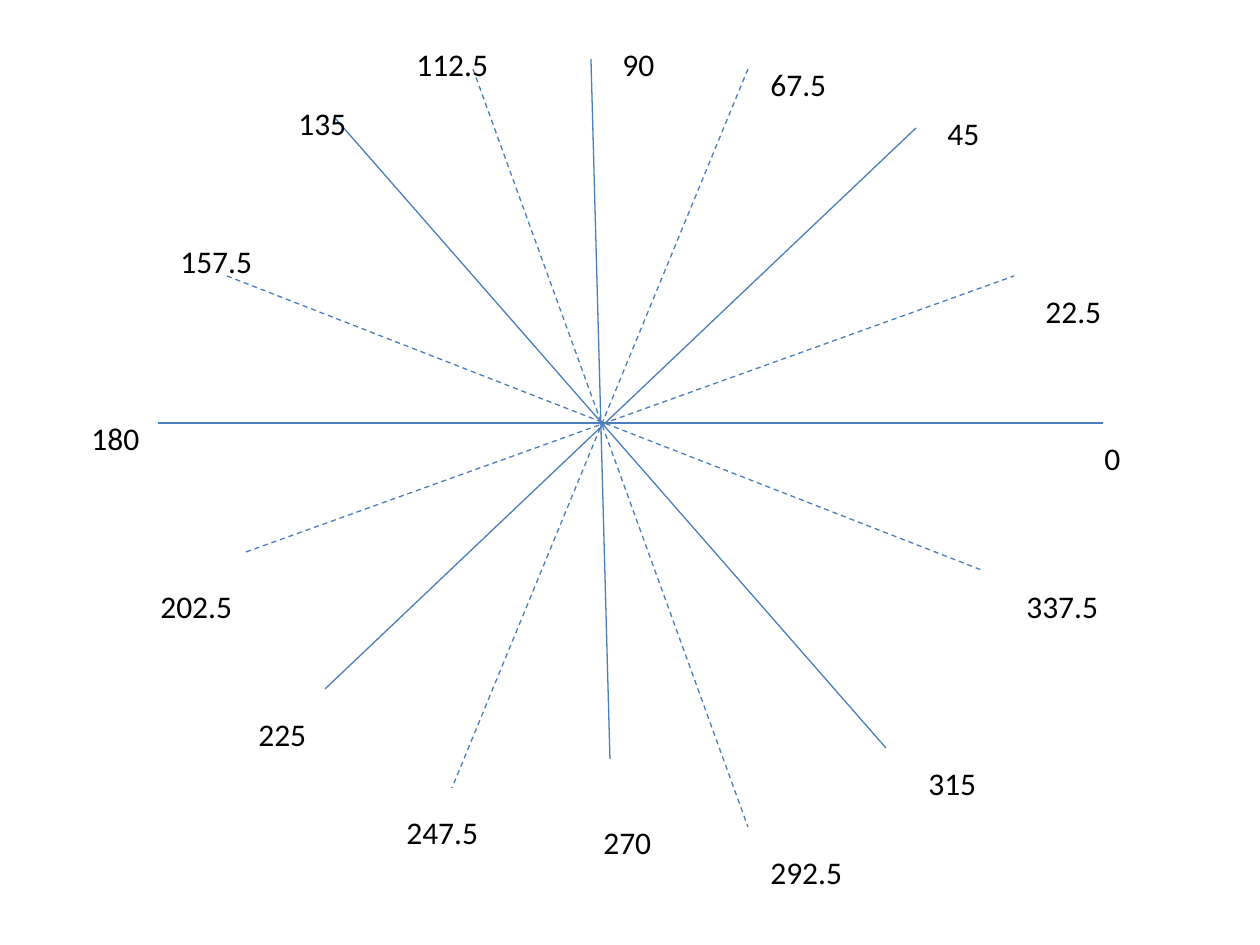
from lxml.etree import SubElement
from pptx import Presentation
from pptx.dml.color import RGBColor
from pptx.enum.dml import MSO_LINE
from pptx.enum.shapes import MSO_CONNECTOR
from pptx.enum.text import MSO_AUTO_SIZE
from pptx.oxml.ns import qn
from pptx.util import Pt

SCALE = 914400 // 126
SLIDE_SIZE = (1260, 945)
LINE_COLOR = "4B7EBC"
TEXT_COLOR = "000000"
LABEL_HEIGHT = 50
LABEL_WIDTHS = {1: 42, 2: 58, 3: 74, 4: 82, 5: 98}

SOLID_AXES = [
    (158, 423, 1103, 423),
    (610, 759, 591, 59),
    (325, 689, 916, 128),
    (335, 118, 886, 748),
]
DASHED_AXES = [
    (748, 69, 452, 788),
    (473, 69, 748, 827),
    (227, 276, 984, 571),
    (246, 552, 1014, 276),
]
ANGLE_LABELS = [
    ("90", 610, 39),
    ("0", 1092, 433),
    ("270", 591, 817),
    ("180", 79, 413),
    ("45", 935, 108),
    ("135", 286, 98),
    ("225", 246, 709),
    ("315", 916, 758),
    ("22.5", 1033, 286),
    ("67.5", 758, 59),
    ("112.5", 404, 39),
    ("157.5", 168, 236),
    ("202.5", 148, 581),
    ("247.5", 394, 807),
    ("292.5", 758, 847),
    ("337.5", 1014, 581),
]


def px(value):
    return value * SCALE


def color(hex_string):
    return RGBColor.from_string(hex_string)


def add_axis(slide, ends, dashed):
    connector = slide.shapes.add_connector(MSO_CONNECTOR.STRAIGHT, *map(px, ends))
    connector.line.color.rgb = color(LINE_COLOR)
    connector.line.width = Pt(0.75)
    if dashed:
        connector.line.dash_style = MSO_LINE.DASH
    SubElement(connector._element.spPr, qn("a:effectLst"))


def add_label(slide, text, left, top):
    box = (left, top, LABEL_WIDTHS[len(text)], LABEL_HEIGHT)
    text_frame = slide.shapes.add_textbox(*map(px, box)).text_frame
    text_frame.text = text
    text_frame.word_wrap = False
    text_frame.auto_size = MSO_AUTO_SIZE.SHAPE_TO_FIT_TEXT
    font = text_frame.paragraphs[0].runs[0].font
    font.name = "Calibri"
    font.size = Pt(18)
    font.color.rgb = color(TEXT_COLOR)


def main():
    presentation = Presentation()
    presentation.slide_width, presentation.slide_height = map(px, SLIDE_SIZE)
    slide = presentation.slides.add_slide(presentation.slide_layouts[6])
    for axes, dashed in ((SOLID_AXES, False), (DASHED_AXES, True)):
        for ends in axes:
            add_axis(slide, ends, dashed)
    for text, left, top in ANGLE_LABELS:
        add_label(slide, text, left, top)
    presentation.save("out.pptx")


if __name__ == "__main__":
    main()
